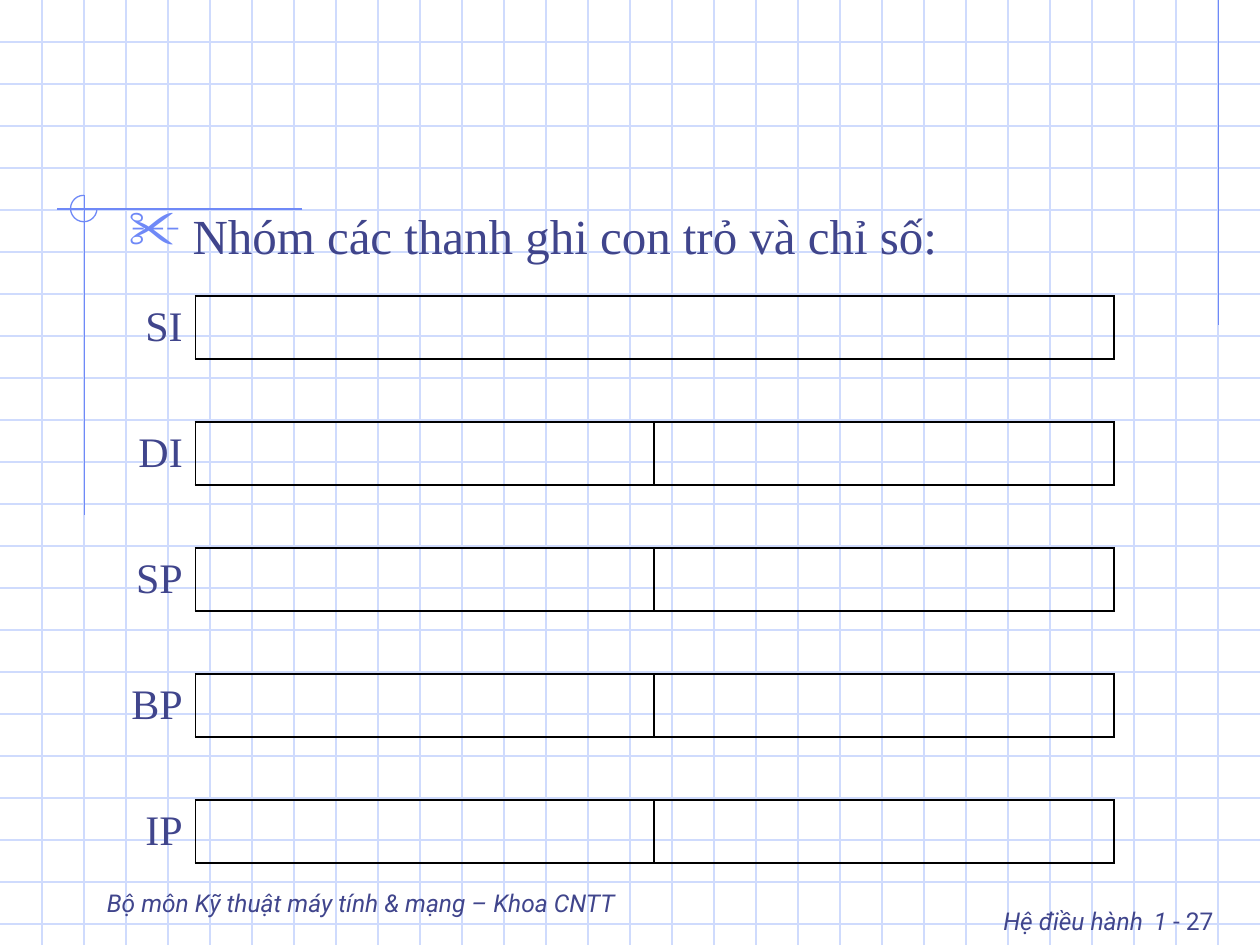
from lxml import etree
from pptx import Presentation
from pptx.dml.color import RGBColor
from pptx.enum import shapes, text
from pptx.oxml import ns
from pptx.util import Inches, Pt

# Content
HEADING = " Nhóm các thanh ghi con trỏ và chỉ số:"
REGISTERS = ["SI", "DI", "SP", "BP", "IP"]
DEPARTMENT = [("Bộ môn Kỹ thuật máy tính & mạng – Khoa CNTT", 14, True)]
PAGE_LABEL = [("Hệ điều hành", 14, True), (" ", 24, False), ("1", 14, True), (" - 27", 14, False)]

# Style and geometry, in inches
INK, GRID, ACCENT, BLACK = "40458C", "CFDBFD", "6F89F7", "000000"
SERIF, SANS = "Times New Roman", "Roboto"
WIDTH, HEIGHT, CELLS_PER_INCH = 10, 7.5, 3
ACCENT_LINES = [(9.67, 0, 9.67, 2.58), (2.4, 1.66, 0.45, 1.66), (0.67, 1.55, 0.67, 4.09)]
COLUMNS, ROW_HEIGHT = [1.13, 3.64, 3.65], 0.5
NO_GRID_STYLE = "{2D5ABB26-0587-4C30-8999-92F81FD0307C}"


def color(value):
    return RGBColor.from_string(value)


def format_span(span, size, font, italic=False):
    span.font.size, span.font.name, span.font.italic = Pt(size), font, italic
    span.font.color.rgb = color(INK)


def add_line(page, x1, y1, x2, y2, line_color):
    line = page.shapes.add_connector(
        shapes.MSO_CONNECTOR.STRAIGHT, Inches(x1), Inches(y1), Inches(x2), Inches(y2))
    line.line.color.rgb = color(line_color)
    line.line.width = Pt(0.75)
    etree.SubElement(line._element.spPr, ns.qn("a:effectLst"))


def add_background(page):
    for i in range(1, int(HEIGHT * CELLS_PER_INCH) + 1):
        y = i / CELLS_PER_INCH
        add_line(page, 0, y, WIDTH, y, GRID)
    for i in range(1, WIDTH * CELLS_PER_INCH):
        x = i / CELLS_PER_INCH
        add_line(page, x, 0, x, HEIGHT, GRID)
    for ends in ACCENT_LINES:
        add_line(page, *ends, ACCENT)
    # Three-quarter circle where the accent lines cross
    arc = page.shapes.add_shape(
        shapes.MSO_SHAPE.ARC, Inches(0.56), Inches(1.55), Inches(0.21), Inches(0.21))
    arc.adjustments[0] = 0
    arc.adjustments[1] = 270 * 0.6
    arc.fill.background()
    arc.line.color.rgb = color(ACCENT)
    arc.line.width = Pt(0.75)
    arc.shadow.inherit = False


def add_footer(page, left, top, width, spans, align, anchor):
    box = page.shapes.add_textbox(Inches(left), Inches(top), Inches(width), Inches(0.5))
    frame = box.text_frame
    frame.word_wrap = True
    frame.vertical_anchor = anchor
    para = frame.paragraphs[0]
    para.alignment = align
    for words, size, italic in spans:
        span = para.add_run()
        span.text = words
        format_span(span, size, SANS, italic)


def set_hanging(para):
    props = para._p.get_or_add_pPr()
    props.set("marL", str(Inches(0.38)))
    props.set("indent", str(-Inches(0.38)))
    return props


def format_heading(page):
    title = page.shapes.title
    title.left, title.top, title.width, title.height = map(Inches, (0.92, 1.58, 8, 0.58))
    frame = title.text_frame
    frame.text = HEADING
    frame.word_wrap = True
    frame.auto_size = text.MSO_AUTO_SIZE.NONE
    frame.vertical_anchor = text.MSO_ANCHOR.TOP
    para = frame.paragraphs[0]
    para.alignment = text.PP_ALIGN.LEFT
    para.space_before = Pt(7)
    format_span(para.runs[0], 28, SERIF)
    # Scissors bullet
    props = set_hanging(para)
    bullet_color = etree.SubElement(props, ns.qn("a:buClr"))
    etree.SubElement(bullet_color, ns.qn("a:srgbClr"), val=ACCENT)
    etree.SubElement(props, ns.qn("a:buSzPct"), val="110000")
    etree.SubElement(props, ns.qn("a:buChar"), char="✂")
    # Keep the heading in front of the grid
    page.shapes._spTree.append(title._element)


def add_borders(cell, sides):
    props = cell._tc.get_or_add_tcPr()
    for side in sides:
        border = etree.SubElement(props, ns.qn(f"a:ln{side}"), w=str(Pt(0.96)))
        fill = etree.SubElement(border, ns.qn("a:solidFill"))
        etree.SubElement(fill, ns.qn("a:srgbClr"), val=BLACK)


def add_registers(page):
    row_count = 2 * len(REGISTERS) - 1
    frame = page.shapes.add_table(
        row_count, len(COLUMNS), Inches(0.42), Inches(2.35),
        Inches(sum(COLUMNS)), Inches(row_count * ROW_HEIGHT))
    table = frame.table
    table.first_row = table.horz_banding = False
    table._tbl.tblPr.find(ns.qn("a:tableStyleId")).text = NO_GRID_STYLE
    for column, width in zip(table.columns, COLUMNS):
        column.width = Inches(width)
    for row in table.rows:
        row.height = Inches(ROW_HEIGHT)

    # Every second row is a register; the rows between are gaps
    for i, name in enumerate(REGISTERS):
        label, left_half, right_half = table.rows[2 * i].cells
        label.text = name
        label.vertical_anchor = text.MSO_ANCHOR.MIDDLE
        para = label.text_frame.paragraphs[0]
        para.alignment = text.PP_ALIGN.RIGHT
        set_hanging(para)
        format_span(para.runs[0], 24, SERIF)
        add_borders(label, "R")
        if i == 0:
            left_half.merge(right_half)
            add_borders(left_half, "LRTB")
        else:
            add_borders(left_half, "LTB")
        add_borders(right_half, "RTB")
    for cell in table.iter_cells():
        cell.fill.background()


def main():
    deck = Presentation()
    deck.slide_width, deck.slide_height = Inches(WIDTH), Inches(HEIGHT)
    page = deck.slides.add_slide(deck.slide_layouts[5])
    page.background.fill.solid()
    page.background.fill.fore_color.rgb = color("FFFFFF")

    add_background(page)
    add_footer(page, 6.83, 7, 2.9, PAGE_LABEL, text.PP_ALIGN.RIGHT, text.MSO_ANCHOR.TOP)
    add_footer(page, 0.75, 6.83, 5.58, DEPARTMENT, text.PP_ALIGN.LEFT, text.MSO_ANCHOR.BOTTOM)
    format_heading(page)
    add_registers(page)
    deck.save("out.pptx")


if __name__ == "__main__":
    main()
